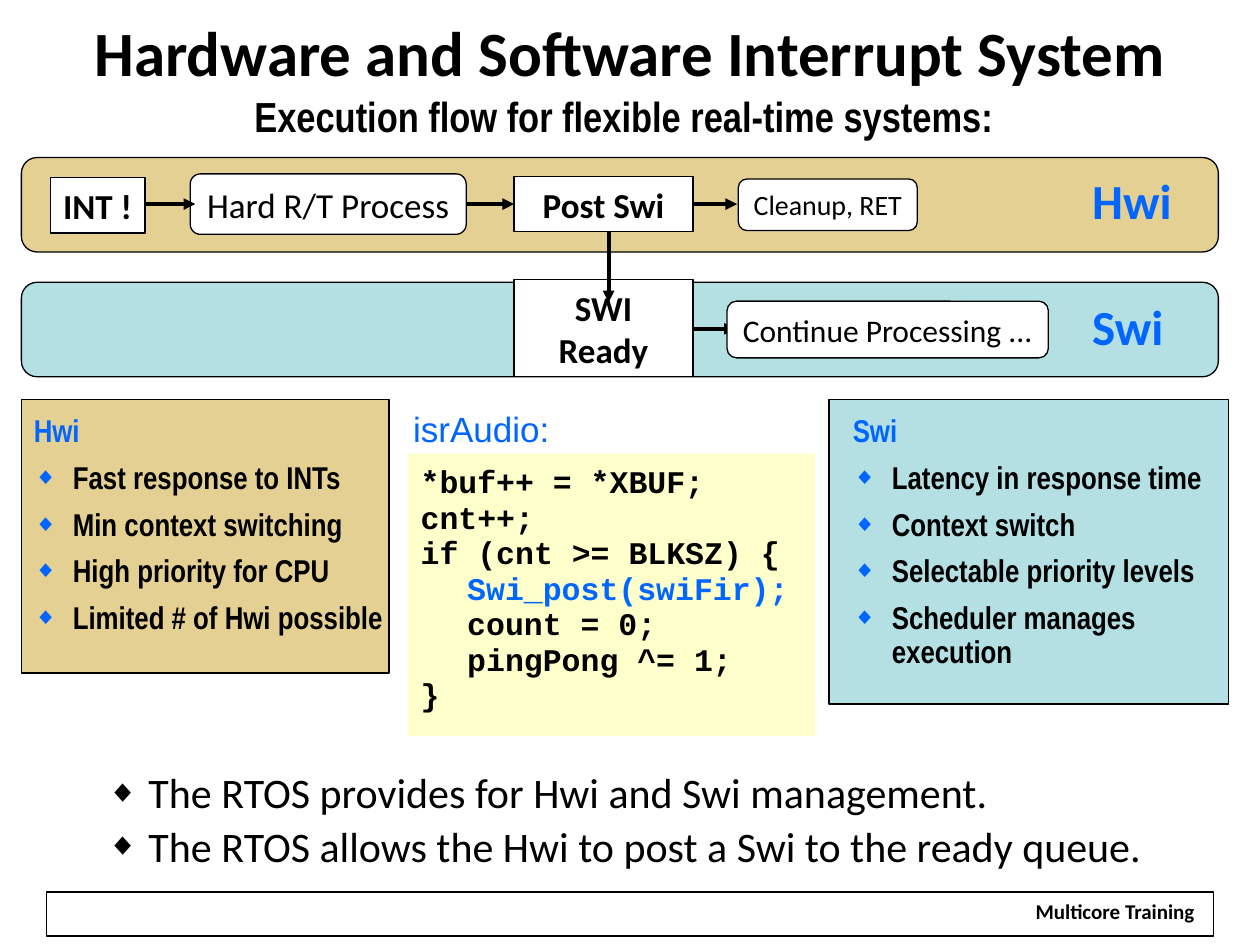
from dataclasses import dataclass

from pptx import Presentation
from pptx.dml.color import RGBColor as RGB
from pptx.enum.shapes import MSO_CONNECTOR as CONN, MSO_SHAPE as SHAPE
from pptx.enum.text import MSO_ANCHOR as ANCHOR, PP_ALIGN as ALIGN
from pptx.oxml.xmlchemy import OxmlElement
from pptx.util import Inches, Pt


@dataclass(frozen=True)
class Theme:
    """Colours, fonts and type sizes of the slide."""
    ink: str = "000000"
    paper: str = "FFFFFF"
    accent: str = "0066FF"
    hwi: str = "E5D093"
    swi: str = "B5E0E3"
    code_fill: str = "FFFFCC"
    body: str = "Calibri"
    narrow: str = "Arial Narrow"
    label: str = "Arial"
    mono: str = "Courier New"
    title: int = 36
    lane: int = 28
    lead: int = 24
    step: int = 20
    text: int = 18
    small: int = 16
    footer: int = 12


class Deck:
    """Draws styled elements on the current slide."""

    def __init__(self, theme):
        self.t = theme
        self.prs = Presentation()
        self.prs.slide_width, self.prs.slide_height = Inches(10), Inches(7.5)
        self.s = self.prs.slides.add_slide(self.prs.slide_layouts[5])

    def run(self, p, text, size, font=None, color=None, bold=False):
        """Adds one formatted run to a paragraph."""
        r = p.add_run()
        r.text = text
        f = r.font
        f.name, f.size, f.bold = font or self.t.body, Pt(size), bold
        f.color.rgb = RGB.from_string(color or self.t.ink)

    def prop(self, p, tag, parent=None, **attrs):
        """Adds one element to the paragraph properties."""
        el = OxmlElement(tag)
        for name, value in attrs.items():
            el.set(name, str(value))
        (p._p.get_or_add_pPr() if parent is None else parent).append(el)
        return el

    def bullet(self, p, color):
        """Gives a paragraph a diamond bullet."""
        self.prop(p, "a:srgbClr", self.prop(p, "a:buClr"), val=color)
        self.prop(p, "a:buSzPct", val=75000)
        self.prop(p, "a:buFont", typeface=self.t.label)
        self.prop(p, "a:buChar", char="◆")

    def hang(self, p, indent):
        """Gives a paragraph a hanging indent."""
        pPr = p._p.get_or_add_pPr()
        pPr.set("marL", str(Inches(indent)))
        pPr.set("indent", str(-Inches(indent)))

    def paragraphs(self, tf, count, spacing, before):
        """Yields evenly spaced paragraphs of a text frame."""
        for i in range(count):
            p = tf.add_paragraph() if i else tf.paragraphs[0]
            p.line_spacing = spacing
            if i:
                p.space_before = Pt(before)
            yield p

    def title(self, text, box):
        """Places the slide title."""
        sp = self.s.shapes.title
        sp.left, sp.top, sp.width, sp.height = map(Inches, box)
        tf = sp.text_frame
        tf.vertical_anchor = ANCHOR.MIDDLE
        p = tf.paragraphs[0]
        p.alignment = ALIGN.CENTER
        self.run(p, text, self.t.title, bold=True)

    def box(self, kind, box, fill, line=0.75):
        """Adds a filled shape, outlined unless line is zero."""
        sp = self.s.shapes.add_shape(kind, *map(Inches, box))
        sp.shadow.inherit = False
        sp.fill.solid()
        sp.fill.fore_color.rgb = RGB.from_string(fill)
        if line:
            sp.line.color.rgb = RGB.from_string(self.t.ink)
            sp.line.width = Pt(line)
        else:
            sp.line.fill.background()
        return sp

    def step(self, text, box, size, rounded=False, wrap=False):
        """Adds one step of the flow; square steps are bold."""
        kind = SHAPE.FLOWCHART_ALTERNATE_PROCESS if rounded else SHAPE.FLOWCHART_PROCESS
        tf = self.box(kind, box, self.t.paper).text_frame
        tf.word_wrap, tf.vertical_anchor = wrap, ANCHOR.MIDDLE
        p = tf.paragraphs[0]
        p.alignment = ALIGN.CENTER
        self.run(p, text, size, bold=not rounded)

    def text(self, text, box, size, font=None, color=None, bold=True,
             spacing=1.0, wrap=False, align=ALIGN.LEFT, anchor=ANCHOR.TOP):
        """Adds a one-paragraph text box."""
        tf = self.s.shapes.add_textbox(*map(Inches, box)).text_frame
        tf.word_wrap, tf.vertical_anchor = wrap, anchor
        p = tf.paragraphs[0]
        p.alignment, p.line_spacing = align, spacing
        self.run(p, text, size, font, color, bold)

    def bullets(self, items, box, size, font, color, indent, before, head=None):
        """Adds a bulleted list, with a heading if one is given."""
        tf = self.s.shapes.add_textbox(*map(Inches, box)).text_frame
        tf.word_wrap = True
        lines = ([head] if head else []) + items
        for p, line in zip(self.paragraphs(tf, len(lines), 0.9, before), lines):
            self.hang(p, indent)
            if line == head:
                self.run(p, line, size, font, self.t.accent, True)
            else:
                self.bullet(p, color)
                self.run(p, line, size, font, bold=bool(head))

    def code(self, lines, box, marked):
        """Adds a code panel with one highlighted line."""
        tf = self.box(SHAPE.RECTANGLE, box, self.t.code_fill, 0).text_frame
        tf.word_wrap, tf.vertical_anchor = False, ANCHOR.MIDDLE
        for p, line in zip(self.paragraphs(tf, len(lines), 0.5, 9.5), lines):
            p.alignment = ALIGN.LEFT
            tabs = self.prop(p, "a:tabLst")
            self.prop(p, "a:tab", tabs, pos=Inches(0.37), algn="l")
            color = self.t.accent if line == marked else self.t.ink
            self.run(p, line, self.t.text, self.t.mono, color, True)

    def arrow(self, x1, y1, x2, y2):
        """Adds a straight arrow."""
        c = self.s.shapes.add_connector(CONN.STRAIGHT, *map(Inches, (x1, y1, x2, y2)))
        c.line.color.rgb = RGB.from_string(self.t.ink)
        c.line.width = Pt(2.25)
        tail = OxmlElement("a:tailEnd")
        tail.set("type", "triangle")
        c.line._get_or_add_ln().append(tail)
        c._element.spPr.append(OxmlElement("a:effectLst"))


def main():
    """Builds the interrupt system slide."""
    t = Theme()
    d = Deck(t)
    d.box(SHAPE.RECTANGLE, (0.37, 7.08, 9.26, 0.35), t.paper)
    d.text("Multicore Training", (8.11, 7.12, 1.48, 0.26), t.footer,
           spacing=0.8, align=ALIGN.CENTER)
    d.title("Hardware and Software Interrupt System", (0, 0, 10, 0.81))
    d.text("Execution flow for flexible real-time systems:", (1.92, 0.67, 6.42, 0.5),
           t.lead, t.narrow, wrap=True)

    d.box(SHAPE.RECTANGLE, (6.58, 3.17, 3.17, 2.42), t.swi, 1)
    d.box(SHAPE.RECTANGLE, (0.17, 3.17, 2.92, 2.17), t.hwi, 1)
    for name, top, label_top, fill in (("Swi", 2.24, 2.39, t.swi), ("Hwi", 1.25, 1.39, t.hwi)):
        d.box(SHAPE.FLOWCHART_ALTERNATE_PROCESS, (0.17, top, 9.5, 0.75), fill)
        d.text(name, (8.57, label_top, 0.84, 0.48), t.lane, color=t.accent, spacing=0.8)

    for x, y in ((3.67, 1.62), (5.44, 1.62), (5.43, 2.61)):
        d.arrow(x, y, x + 0.41, y)
    d.step("INT !", (0.4, 1.41, 0.75, 0.44), t.step)
    d.step("Hard R/T Process", (1.51, 1.38, 2.19, 0.48), t.step, rounded=True)
    d.step("Post Swi", (4.08, 1.4, 1.42, 0.44), t.step, wrap=True)
    d.step("Cleanup, RET", (5.86, 1.42, 1.42, 0.41), t.small, rounded=True)
    d.step("Continue Processing ...", (5.77, 2.39, 2.55, 0.45), t.text, rounded=True)
    d.step("SWI Ready", (4.08, 2.22, 1.42, 0.77), t.step, wrap=True)
    d.arrow(1.14, 1.62, 1.55, 1.62)
    d.arrow(4.83, 1.83, 4.83, 2.4)

    traits = (
        ("Hwi", 0.17, 1.95, ["Fast response to INTs", "Min context switching",
                             "High priority for CPU", "Limited # of Hwi possible"]),
        ("Swi", 6.67, 2.22, ["Latency in response time", "Context switch",
                             "Selectable priority levels", "Scheduler manages execution"]),
    )
    for head, left, height, items in traits:
        d.bullets(items, (left, 3.25, 3, height), t.text, t.narrow, t.accent, 0.31, 7.2, head)

    d.code(["*buf++ = *XBUF;", "cnt++;", "if (cnt >= BLKSZ) {", "\tSwi_post(swiFir);",
            "\tcount = 0;", "\tpingPong ^= 1;", "}"],
           (3.24, 3.6, 3.23, 2.24), "\tSwi_post(swiFir);")
    d.text("isrAudio:", (3.18, 3.25, 1.29, 0.37), t.step, t.label, t.accent,
           bold=False, spacing=0.8, anchor=ANCHOR.MIDDLE)
    d.bullets(["The RTOS provides for Hwi and Swi management.",
               "The RTOS allows the Hwi to post a Swi to the ready queue."],
              (0.75, 6.08, 8.42, 0.93), t.lead, t.body, t.ink, 0.33, 4.8)
    d.prs.save("out.pptx")


if __name__ == "__main__":
    main()
